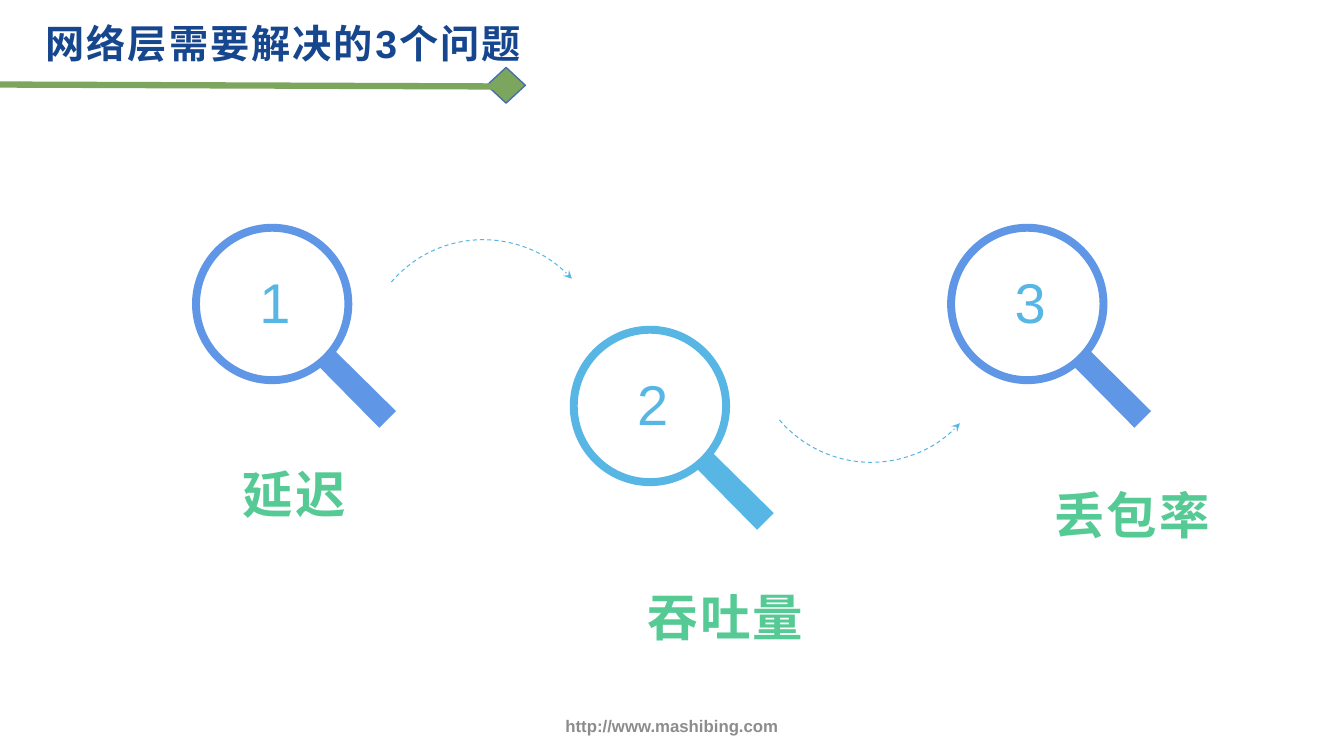
from lxml import etree
from pptx import Presentation
from pptx.dml.color import RGBColor
from pptx.enum.dml import MSO_LINE
from pptx.enum.shapes import MSO_CONNECTOR, MSO_SHAPE
from pptx.enum.text import MSO_ANCHOR as Anchor, MSO_AUTO_SIZE as Fit, PP_ALIGN as Align
from pptx.oxml.ns import qn
from pptx.util import Cm, Pt

HUES = {
    "navy": "16468D", "leaf": "7CA65E", "edge": "476FAA", "grey": "8C8C8C",
    "blue": "6096E6", "sky": "58B6E5", "mint": "56CA95",
}


def hue(name):
    return RGBColor.from_string(HUES[name])


def write(shape, text, size, color, bold=True, align=Align.LEFT,
          anchor=Anchor.TOP, space=None, gap=0):
    """Fill a shape with one formatted line; gap is letter spacing in points."""
    frame = shape.text_frame
    frame.text = text
    frame.word_wrap = True
    frame.auto_size = Fit.NONE
    frame.vertical_anchor = anchor
    line = frame.paragraphs[0]
    line.alignment = align
    line.line_spacing = space
    run = line.runs[0]
    run.font.name = "Arial"
    run.font.size = Pt(size)
    run.font.bold = bold
    run.font.color.rgb = hue(color)
    if gap:
        run.font._element.set("spc", str(int(gap * 100)))


deck = Presentation()
deck.slide_width, deck.slide_height = Cm(33.87), Cm(19.05)
slide = deck.slides.add_slide(deck.slide_layouts[5])
shapes = slide.shapes

# Header and footer
gem = shapes.add_shape(MSO_SHAPE.DIAMOND, Cm(12.27), Cm(1.7), Cm(0.97), Cm(0.9))
gem.shadow.inherit = False
gem.fill.solid()
gem.fill.fore_color.rgb = hue("leaf")
gem.line.color.rgb = hue("edge")
gem.line.width = Pt(1)

rule = shapes.add_connector(MSO_CONNECTOR.STRAIGHT, 0, Cm(2.13), Cm(12.88), Cm(2.18))
rule.line.color.rgb = hue("leaf")
rule.line.width = Pt(4.5)
etree.SubElement(rule._element.spPr, qn("a:effectLst"))

title = shapes.title
title.left, title.top, title.width, title.height = Cm(0.89), 0, Cm(14.12), Cm(1.9)
write(title, "网络层需要解决的3个问题", 28, "navy", space=1.3, gap=1.5)

foot = shapes.add_textbox(Cm(10.94), Cm(17.53), Cm(11.99), Cm(1.52))
write(foot, "http://www.mashibing.com", 12, "grey",
      align=Align.CENTER, anchor=Anchor.MIDDLE)

# Magnifier outline in cm: a line, five curves and a line, then four curves
RIM = [
    (5.14, 4.72), (3.63, 3.23),
    (3.88, 2.9), (4.04, 2.48), (4.04, 2.02),
    (4.04, 0.91), (3.13, 0), (2.02, 0),
    (0.91, 0), (0, 0.91), (0, 2.02),
    (0, 3.13), (0.91, 4.04), (2.02, 4.04),
    (2.48, 4.04), (2.9, 3.88), (3.23, 3.63),
    (4.72, 5.14),
]
HOLE = [
    (0.2, 2.02),
    (0.2, 1.02), (1.02, 0.2), (2.02, 0.2),
    (3.02, 0.2), (3.84, 1.02), (3.84, 2.02),
    (3.84, 3.02), (3.02, 3.84), (2.02, 3.84),
    (1.02, 3.84), (0.2, 3.02), (0.2, 2.02),
]

# Number, left, top, colour, then label text, left, top
ITEMS = [
    ("1", 4.84, 5.64, "blue", "延迟", 4.17, 10.79),
    ("2", 14.36, 8.21, "sky", "吞吐量", 15.03, 13.88),
    ("3", 23.87, 5.64, "blue", "丢包率", 25.28, 11.32),
]
for num, left, top, color, label, x, y in ITEMS:
    rim, hole = [[(Cm(left + dx), Cm(top + dy)) for dx, dy in part]
                 for part in (RIM, HOLE)]
    pen = shapes.build_freeform(*rim[0], scale=1.0)
    pen.add_line_segments(rim[1:], close=True)
    pen.move_to(*hole[0])
    pen.add_line_segments(hole[1:], close=True)
    glass = pen.convert_to_shape()

    # Join each three points of a rounded part into one curve
    steps = list(glass._element.iter(qn("a:lnTo")))
    bends = steps[1:16] + steps[17:]
    for i in range(0, len(bends), 3):
        curve = etree.Element(qn("a:cubicBezTo"))
        bends[i].addprevious(curve)
        for step in bends[i:i + 3]:
            curve.append(step[0])
            step.getparent().remove(step)

    glass.shadow.inherit = False
    glass.fill.solid()
    glass.fill.fore_color.rgb = hue(color)
    glass.line.fill.background()
    write(glass, num, 40, "sky", bold=False)
    frame = glass.text_frame
    frame.margin_left, frame.margin_top = Cm(1.7), Cm(1.09)
    frame.margin_right = frame.margin_bottom = 0

    box = shapes.add_textbox(Cm(x), Cm(y), Cm(6.5), Cm(2.57))
    write(box, label, 36, "mint", align=Align.CENTER, space=1.5, gap=1.5)

# Dashed arcs between the magnifiers
for left, top, turn, flip in ((9.14, 6.04, 317.5, False), (18.92, 5.58, 42.5, True)):
    arc = shapes.add_shape(MSO_SHAPE.ARC, Cm(left), Cm(top), Cm(6.07), Cm(6.07))
    arc.adjustments[0], arc.adjustments[1] = 157.77, 0
    arc.rotation = turn
    if flip:
        arc._element.spPr.xfrm.set("flipV", "1")
    arc.shadow.inherit = False
    arc.fill.background()
    arc.line.color.rgb = hue("sky")
    arc.line.width = Pt(0.75)
    arc.line.dash_style = MSO_LINE.DASH
    etree.SubElement(arc.line._get_or_add_ln(), qn("a:tailEnd"), type="stealth")

deck.save("out.pptx")
